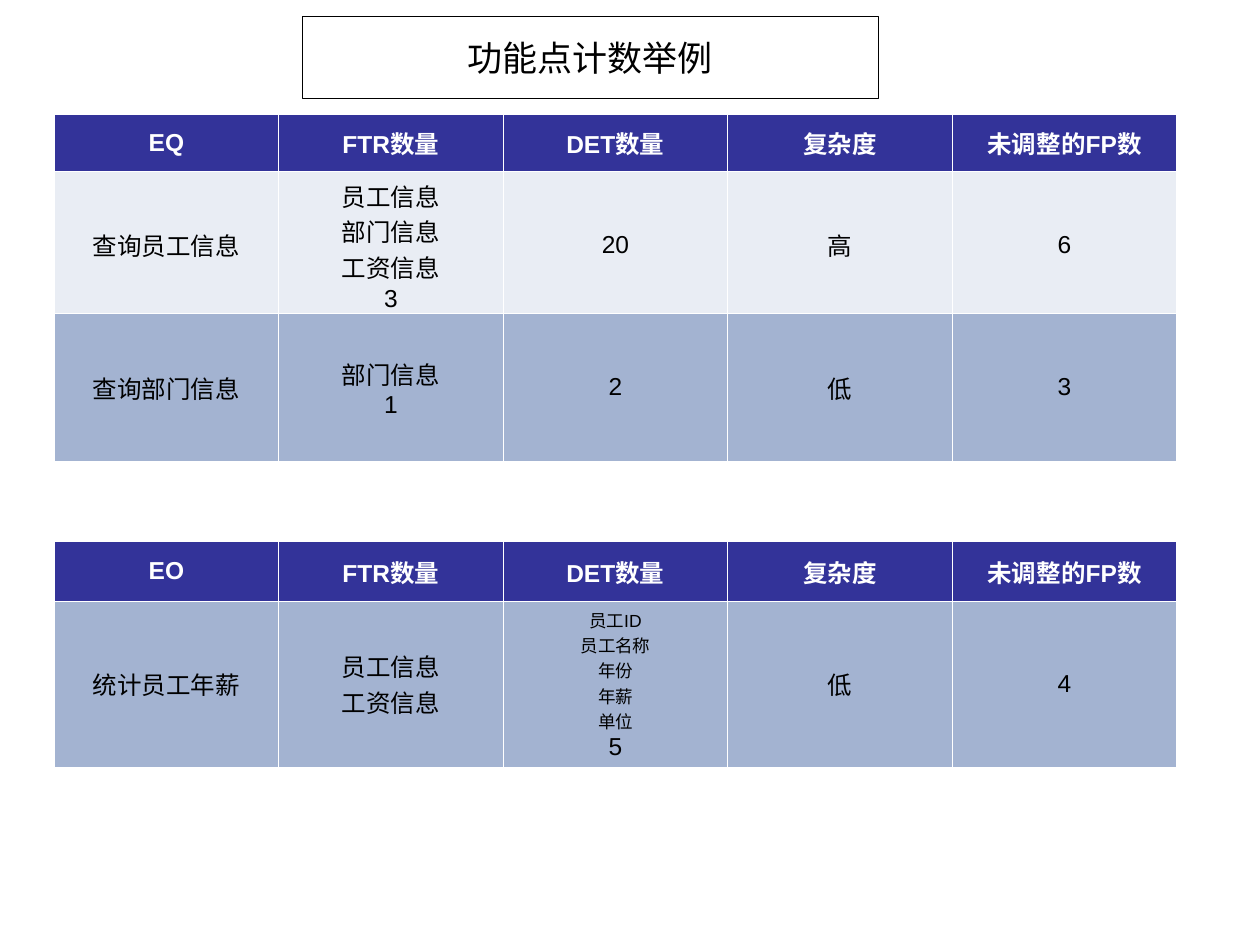
import lxml.etree
import pptx
import pptx.dml.color
import pptx.enum.text
import pptx.oxml.ns
import pptx.util

COLS, ROWS = 100, 75
HUES = {"ink": "000000", "white": "FFFFFF", "head": "333399", "pale": "E9EDF4", "blue": "A3B3D1"}
HAN = "Noto Sans CJK SC"
HEAD = {"size": 14, "name": "Arial", "hue": "white", "bold": True}
BODY = {**HEAD, "hue": "ink", "bold": False}
NOTE = {**BODY, "size": 10}
NAMES = ["FTR数量", "DET数量", "复杂度", "未调整的FP数"]
FIELDS = ["员工ID", "员工名称", "年份", "年薪", "单位"]
TABLES = [
    ((4.3, 9.1, 89.1, 16.2), [
        (4.5, "head", HEAD, ["EQ", *NAMES]),
        (11.7, "pale", BODY, ["查询员工信息", "员工信息\n部门信息\n工资信息\n3", "20", "高", "6"]),
    ]),
    ((4.3, 24.9, 89.1, 11.7), [
        (11.7, "blue", BODY, ["查询部门信息", "部门信息\n1", "2", "低", "3"]),
    ]),
    ((4.3, 43, 89.1, 4.7), [(4.7, "head", HEAD, ["EO", *NAMES])]),
    ((4.3, 47.7, 89.1, 11.7), [
        (11.7, "blue", BODY, ["统计员工年薪", "员工信息\n工资信息", "\n".join([*FIELDS, "5"]), "低", "4"]),
    ]),
]


def tint(name):
    """Return the named colour."""
    return pptx.dml.color.RGBColor.from_string(HUES[name])


def scale(deck, box):
    """Turn a box in grid columns and rows into slide lengths."""
    wide, high = deck.slide_width / COLS, deck.slide_height / ROWS
    return [round(n * unit) for n, unit in zip(box, (wide, high, wide, high))]


def paint(item, hue):
    """Fill a shape or cell with one colour."""
    item.fill.solid()
    item.fill.fore_color.rgb = tint(hue)


def write(frame, text, look):
    """Write centred lines of text in the given look."""
    frame.text = text
    for para in frame.paragraphs:
        para.alignment = pptx.enum.text.PP_ALIGN.CENTER
        for run in para.runs:
            style = NOTE if run.text in FIELDS else look
            marks = {"size": pptx.util.Pt(style["size"]), "name": style["name"], "bold": style["bold"]}
            for key, value in marks.items():
                setattr(run.font, key, value)
            run.font.color.rgb = tint(style["hue"])
            east = lxml.etree.SubElement(run._r.get_or_add_rPr(), pptx.oxml.ns.qn("a:ea"))
            east.set("typeface", HAN)


def edge(cell):
    """Draw thin white borders round a cell."""
    props = cell._tc.get_or_add_tcPr()
    for side in ("lnL", "lnR", "lnT", "lnB"):
        line = lxml.etree.SubElement(props, pptx.oxml.ns.qn("a:" + side), w=str(pptx.util.Pt(0.45)))
        fill = lxml.etree.SubElement(line, pptx.oxml.ns.qn("a:solidFill"))
        lxml.etree.SubElement(fill, pptx.oxml.ns.qn("a:srgbClr"), val=HUES["white"])


def add_head(deck, slide, box):
    """Place the framed slide title in its box."""
    head = slide.shapes.title
    for key, value in zip(("left", "top", "width", "height"), scale(deck, box)):
        setattr(head, key, value)
    paint(head, "white")
    head.line.color.rgb = tint("ink")
    head.line.width = pptx.util.Pt(0.75)
    head.text_frame.vertical_anchor = pptx.enum.text.MSO_ANCHOR.MIDDLE
    write(head.text_frame, "功能点计数举例", {**BODY, "size": 20, "name": HAN})


def add_grid(deck, slide, box, rows):
    """Place a table of equal columns in its box."""
    count = len(rows[0][3])
    grid = slide.shapes.add_table(len(rows), count, *scale(deck, box)).table
    for key in ("first_row", "horz_banding"):
        setattr(grid, key, False)
    for row, (high, hue, look, texts) in zip(grid.rows, rows):
        row.height = round(deck.slide_height * high / ROWS)
        for cell, text in zip(row.cells, texts):
            edge(cell)
            paint(cell, hue)
            cell.vertical_anchor = pptx.enum.text.MSO_ANCHOR.MIDDLE
            write(cell.text_frame, text, look)


def main():
    """Build and save the slide."""
    deck = pptx.Presentation()
    deck.slide_width, deck.slide_height = pptx.util.Inches(10), pptx.util.Inches(7.5)
    slide = deck.slides.add_slide(deck.slide_layouts.get_by_name("Title Only"))
    add_head(deck, slide, (24, 1.3, 45.7, 6.5))
    for box, rows in TABLES:
        add_grid(deck, slide, box, rows)
    deck.save("out.pptx")


if __name__ == "__main__":
    main()
